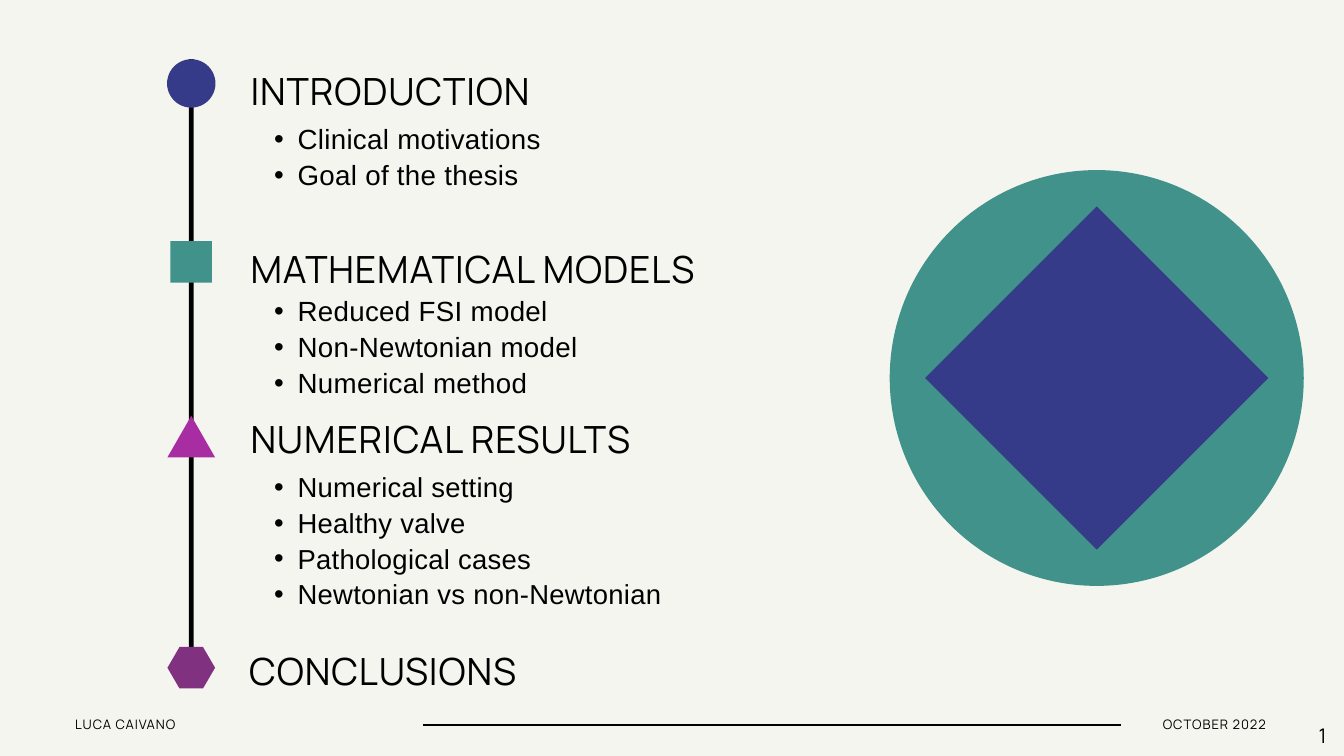
from lxml.etree import SubElement
from pptx import Presentation
from pptx.dml.color import RGBColor
from pptx.enum.shapes import MSO_CONNECTOR, MSO_SHAPE
from pptx.enum.text import MSO_AUTO_SIZE, PP_ALIGN
from pptx.oxml.ns import qn
from pptx.util import Cm, Pt

PAPER = RGBColor(0xF5, 0xF5, 0xEF)
BLACK = RGBColor(0, 0, 0)
NAVY = RGBColor(0x35, 0x3B, 0x88)
TEAL = RGBColor(0x41, 0x92, 0x8A)
PINK = RGBColor(0xA8, 0x2D, 0xA2)
PLUM = RGBColor(0x80, 0x31, 0x80)

HEAD = {"name": "Manrope", "size": 40.1, "lead": 1.2, "track": 1}
ITEM = {"name": "Arial", "size": 29.7, "lead": 1.3, "track": 0.3}
SMALL = {**HEAD, "size": 14}
PAGE = {**HEAD, "size": 21.6, "track": 1.5}

TOPICS = [
    {"mark": (MSO_SHAPE.OVAL, NAVY, 0, 1.83, 1.83),
     "head": ("INTRODUCTION", 0.05, 0.33), "drop": 2.26, "size": 29.7,
     "items": ["Clinical motivations", "Goal of the thesis"]},
    {"mark": (MSO_SHAPE.RECTANGLE, TEAL, 6.88, 1.57, 1.57),
     "head": ("MATHEMATICAL MODELS", 0.05, 7.08), "drop": 8.76, "size": 29.7,
     "items": ["Reduced FSI model", "Non-Newtonian model",
               "Numerical method"]},
    {"mark": (MSO_SHAPE.ISOSCELES_TRIANGLE, PINK, 13.48, 1.8, 1.57),
     "head": ("NUMERICAL RESULTS", 0.05, 13.48), "drop": 15.44, "size": 29.4,
     "items": ["Numerical setting", "Healthy valve", "Pathological cases",
               "Newtonian vs non-Newtonian"]},
    {"mark": (MSO_SHAPE.HEXAGON, PLUM, 22.22, 1.8, 1.57),
     "head": ("CONCLUSIONS", 0, 22.27), "drop": 0, "size": 29.7,
     "items": []},
]


def add_form(slide, kind, color, x, y, w, h):
    form = slide.shapes.add_shape(kind, Cm(x), Cm(y), Cm(w), Cm(h))
    form.shadow.inherit = False
    form.fill.solid()
    form.fill.fore_color.rgb = color
    form.line.fill.background()
    return form


def add_dot(para):
    props = para._p.get_or_add_pPr()
    for key, val in {"marL": Cm(1.78), "indent": Cm(-0.89)}.items():
        props.set(key, str(int(val)))
    SubElement(props, qn("a:buFont"), typeface="Arial")
    SubElement(props, qn("a:buChar"), char="•")


def add_text(slide, lines, style, x, y, w, align=PP_ALIGN.LEFT, dots=False):
    lead = style["size"] * style["lead"]
    box = slide.shapes.add_textbox(
        Cm(x), Cm(y), Cm(w), Pt(lead * len(lines)))
    frame = box.text_frame
    look = {"word_wrap": True, "auto_size": MSO_AUTO_SIZE.SHAPE_TO_FIT_TEXT,
            "margin_left": 0, "margin_right": 0,
            "margin_top": 0, "margin_bottom": 0}
    for key, val in look.items():
        setattr(frame, key, val)
    for num, line in enumerate(lines):
        para = frame.add_paragraph() if num else frame.paragraphs[0]
        form = {"alignment": align, "line_spacing": Pt(round(lead, 1)),
                "level": int(dots)}
        for key, val in form.items():
            setattr(para, key, val)
        if dots:
            add_dot(para)
        run = para.add_run()
        run.text = line
        for key, val in {"name": style["name"],
                         "size": Pt(style["size"])}.items():
            setattr(run.font, key, val)
        run.font.color.rgb = BLACK
        run._r.get_or_add_rPr().set("spc", str(int(style["track"] * 100)))


def add_list(slide, x, y, w, h):
    mid, left = x + 0.91, x + 3.1
    add_form(slide, MSO_SHAPE.RECTANGLE, BLACK, mid - 0.09, y, 0.18, h)
    for topic in TOPICS:
        kind, color, top, wide, high = topic["mark"]
        mark = add_form(slide, kind, color, mid - wide / 2, y + top,
                        wide, high)
        if kind == MSO_SHAPE.HEXAGON:
            mark.adjustments[0] = 0.29
        head, shift, top = topic["head"]
        add_text(slide, [head], HEAD, left + shift, y + top, w - 3.15)
        if topic["items"]:
            add_text(slide, topic["items"], {**ITEM, "size": topic["size"]},
                     left + 0.05, y + topic["drop"], w - 3.15, dots=True)


def add_emblem(slide, x, y, w, h):
    add_form(slide, MSO_SHAPE.OVAL, TEAL, x, y, w, h)
    side = 12.98
    add_form(slide, MSO_SHAPE.DIAMOND, NAVY, x + (w - side) / 2,
             y + (h - side) / 2, side, side)


def add_footer(slide, x, y, w):
    add_text(slide, ["LUCA CAIVANO"], SMALL, x, y, 13.1)
    rule = slide.shapes.add_connector(
        MSO_CONNECTOR.STRAIGHT, Cm(x + 13.14), Cm(y + 0.32),
        Cm(x + 39.55), Cm(y + 0.32))
    rule.line.color.rgb = BLACK
    rule.line.width = Pt(2.2)
    SubElement(rule._element.spPr, qn("a:effectLst"))
    add_text(slide, ["OCTOBER 2022"], SMALL, x + 39.86, y, 5.15,
             PP_ALIGN.RIGHT)
    add_text(slide, ["1"], PAGE, x + w - 0.51, y + 0.25, 0.51,
             PP_ALIGN.RIGHT)


def main():
    deck = Presentation()
    deck.slide_width, deck.slide_height = Cm(50.8), Cm(28.58)
    slide = deck.slides.add_slide(deck.slide_layouts[6])
    slide.background.fill.solid()
    slide.background.fill.fore_color.rgb = PAPER
    add_list(slide, 6.32, 2.24, 29.29, 23.11)
    add_emblem(slide, 33.63, 6.43, 15.65, 15.72)
    add_footer(slide, 2.84, 27.08, 47.3)
    deck.save("out.pptx")


if __name__ == "__main__":
    main()
